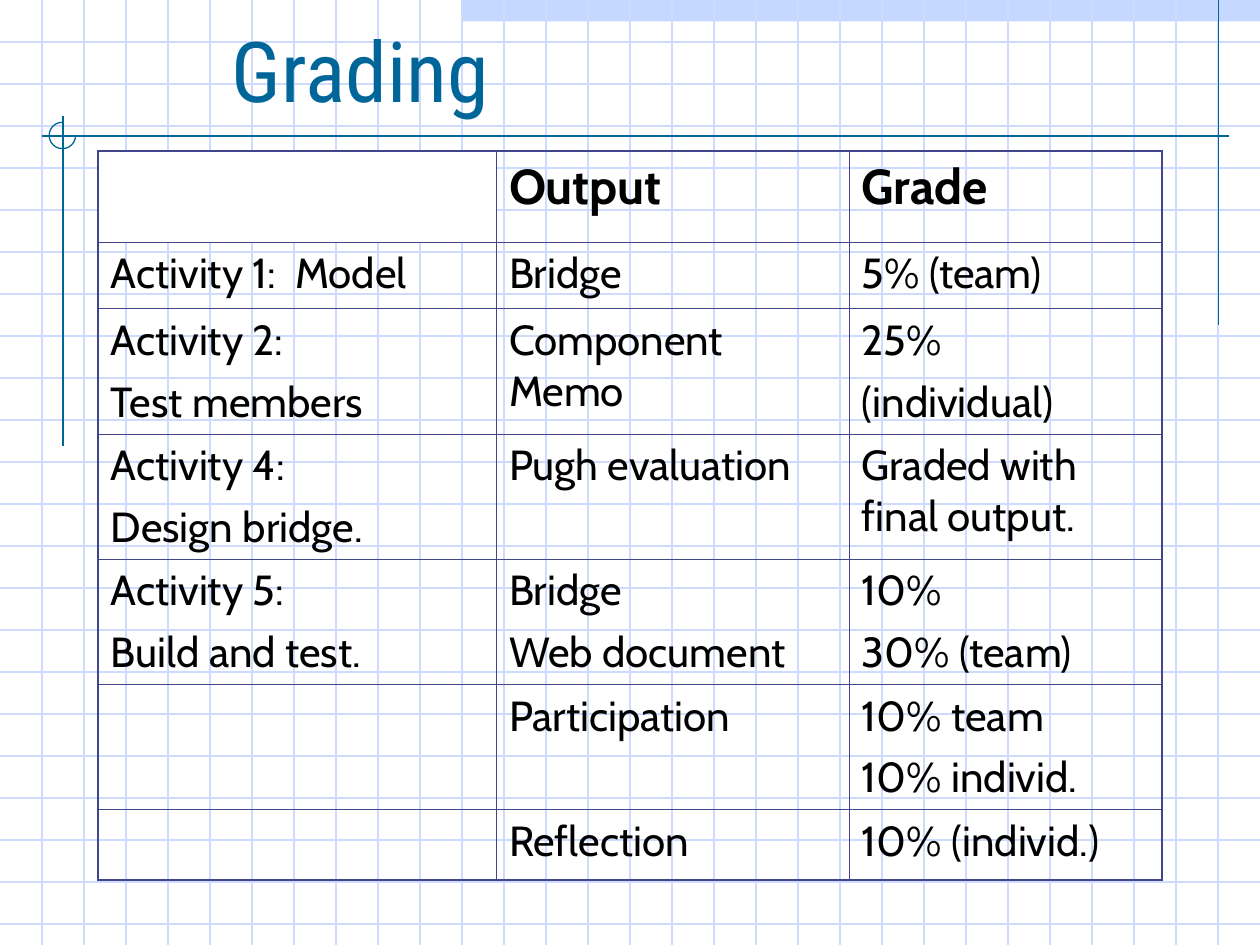
"""Build the course grading slide: a table on a graph-paper background."""
from pptx import Presentation
from pptx.dml.color import RGBColor
from pptx.enum.shapes import MSO_CONNECTOR, MSO_SHAPE
from pptx.enum.text import MSO_ANCHOR, PP_ALIGN
from pptx.oxml import parse_xml
from pptx.oxml.ns import nsdecls
from pptx.util import Inches, Pt

HEADER = ["", "Output", "Grade"]
ACTIVITIES = [
    ["Activity 1:  Model", "Bridge", "5% (team)"],
    ["Activity 2:\nTest members", "Component Memo", "25%\n(individual)"],
    ["Activity 4:\nDesign bridge.", "Pugh evaluation", "Graded with final output."],
    ["Activity 5:\nBuild and test.", "Bridge\nWeb document", "10%\n30% (team)"],
    ["", "Participation", "10% team\n10% individ."],
    ["", "Reflection", "10% (individ.)"],
]
COL_WIDTHS = [3.16, 2.8, 2.48]
ROW_HEIGHTS = [0.72, 0.53, 0.99, 0.99, 0.99, 0.99, 0.56]

WIDTH, HEIGHT = 10, 7.5
GRID_PER_INCH = 3
ACCENT_LINES = [(9.67, 0, 9.67, 2.58), (0.5, 0.92, 0.5, 3.54), (0.33, 1.08, 9.75, 1.08)]
THIN, THICK = 0.45, 1.08

WHITE = RGBColor(0xFF, 0xFF, 0xFF)
BLACK = RGBColor(0, 0, 0)
BAND = RGBColor(0xC5, 0xD8, 0xFF)
GRID = RGBColor(0xCF, 0xDB, 0xFD)
TEAL = RGBColor(0x00, 0x66, 0x99)
BORDER = RGBColor(0x40, 0x45, 0x8C)


def add_line(shapes, x1, y1, x2, y2, color):
    line = shapes.add_connector(MSO_CONNECTOR.STRAIGHT, *map(Inches, (x1, y1, x2, y2)))
    line.line.color.rgb = color
    line.line.width = Pt(0.75)
    line._element.spPr.append(parse_xml(f"<a:effectLst {nsdecls('a')}/>"))


def add_background(shapes):
    band = shapes.add_shape(MSO_SHAPE.RECTANGLE, Inches(3.67), 0, Inches(6.33), Inches(0.17))
    band.shadow.inherit = False
    band.fill.solid()
    band.fill.fore_color.rgb = BAND
    band.line.fill.background()
    for i in range(1, int(HEIGHT * GRID_PER_INCH) + 1):
        add_line(shapes, 0, i / GRID_PER_INCH, WIDTH, i / GRID_PER_INCH, GRID)
    for i in range(1, WIDTH * GRID_PER_INCH):
        add_line(shapes, i / GRID_PER_INCH, 0, i / GRID_PER_INCH, HEIGHT, GRID)
    for ends in ACCENT_LINES:
        add_line(shapes, *ends, TEAL)
    arc = shapes.add_shape(MSO_SHAPE.ARC, *map(Inches, (0.39, 0.97, 0.21, 0.21)))
    arc.adjustments[0] = 0
    arc.adjustments[1] = 162
    arc.shadow.inherit = False
    arc.fill.background()
    arc.line.color.rgb = TEAL
    arc.line.width = Pt(0.75)


def format_title(shapes):
    title = shapes.title
    shapes._spTree.append(title._element)
    title.left, title.top, title.width, title.height = map(Inches, (1.74, 0.08, 7.92, 0.92))
    tf = title.text_frame
    tf.text = "Grading"
    tf.vertical_anchor = MSO_ANCHOR.BOTTOM
    p = tf.paragraphs[0]
    p.alignment = PP_ALIGN.LEFT
    p.font.name, p.font.size = "Roboto Condensed", Pt(48)
    p.font.color.rgb = TEAL


def set_borders(cell, left, right, top, bottom):
    tcPr = cell._tc.get_or_add_tcPr()
    for side, points in zip("LRTB", (left, right, top, bottom)):
        tcPr.append(parse_xml(
            f'<a:ln{side} {nsdecls("a")} w="{Pt(points)}"><a:solidFill>'
            f'<a:srgbClr val="{BORDER}"/></a:solidFill></a:ln{side}>'))


def fill_cell(cell, text, size, bold):
    tf = cell.text_frame
    tf.text = text
    for i, p in enumerate(tf.paragraphs):
        p.space_before = Pt(6 if i else 0)
        p.font.name, p.font.size, p.font.bold = "Cabin", Pt(size), bold
        p.font.color.rgb = BLACK


def add_grades(shapes):
    rows = [HEADER] + ACTIVITIES
    last_row, last_col = len(rows) - 1, len(HEADER) - 1
    table = shapes.add_table(
        len(rows), len(HEADER), Inches(0.78), Inches(1.2),
        Inches(sum(COL_WIDTHS)), Inches(sum(ROW_HEIGHTS))).table
    table.first_row = table.horz_banding = False
    for col, width in zip(table.columns, COL_WIDTHS):
        col.width = Inches(width)
    for row, height in zip(table.rows, ROW_HEIGHTS):
        row.height = Inches(height)
    for r, texts in enumerate(rows):
        for c, text in enumerate(texts):
            cell = table.cell(r, c)
            outer = (c == 0, c == last_col, r == 0, r == last_row)
            set_borders(cell, *(THICK if edge else THIN for edge in outer))
            cell.fill.background()
            fill_cell(cell, text, 24 if r else 28, r == 0)
    corner = table.cell(0, 0)
    corner.fill.solid()
    corner.fill.fore_color.rgb = WHITE


def main():
    prs = Presentation()
    prs.slide_width, prs.slide_height = Inches(WIDTH), Inches(HEIGHT)
    shapes = prs.slides.add_slide(prs.slide_layouts[5]).shapes
    add_background(shapes)
    format_title(shapes)
    add_grades(shapes)
    prs.save("out.pptx")


if __name__ == "__main__":
    main()
